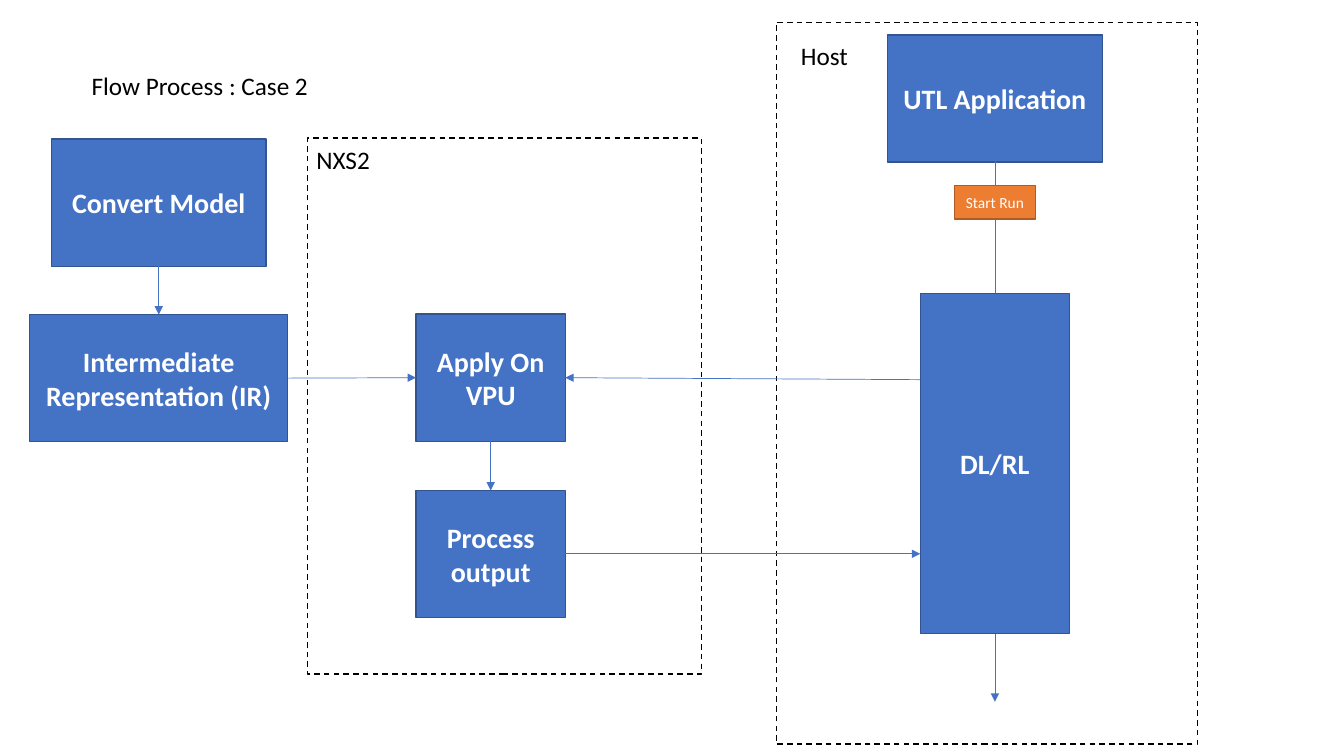
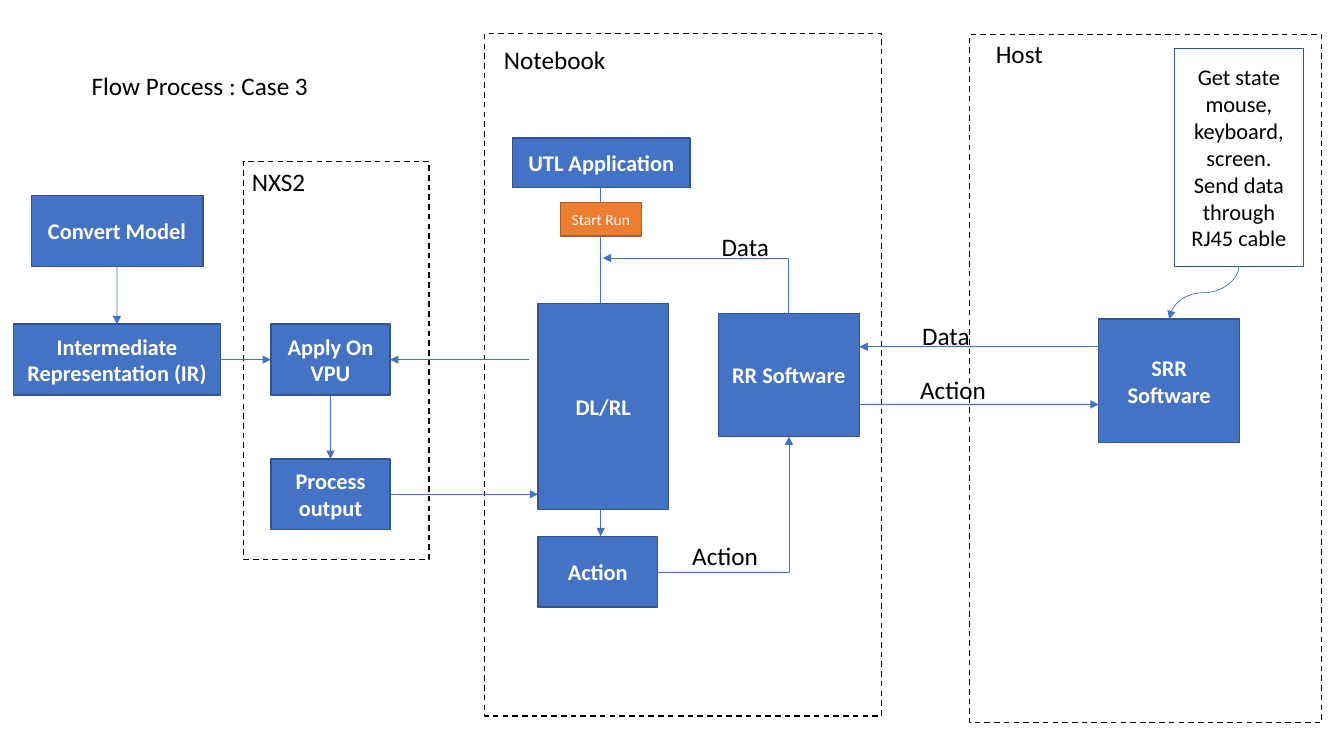
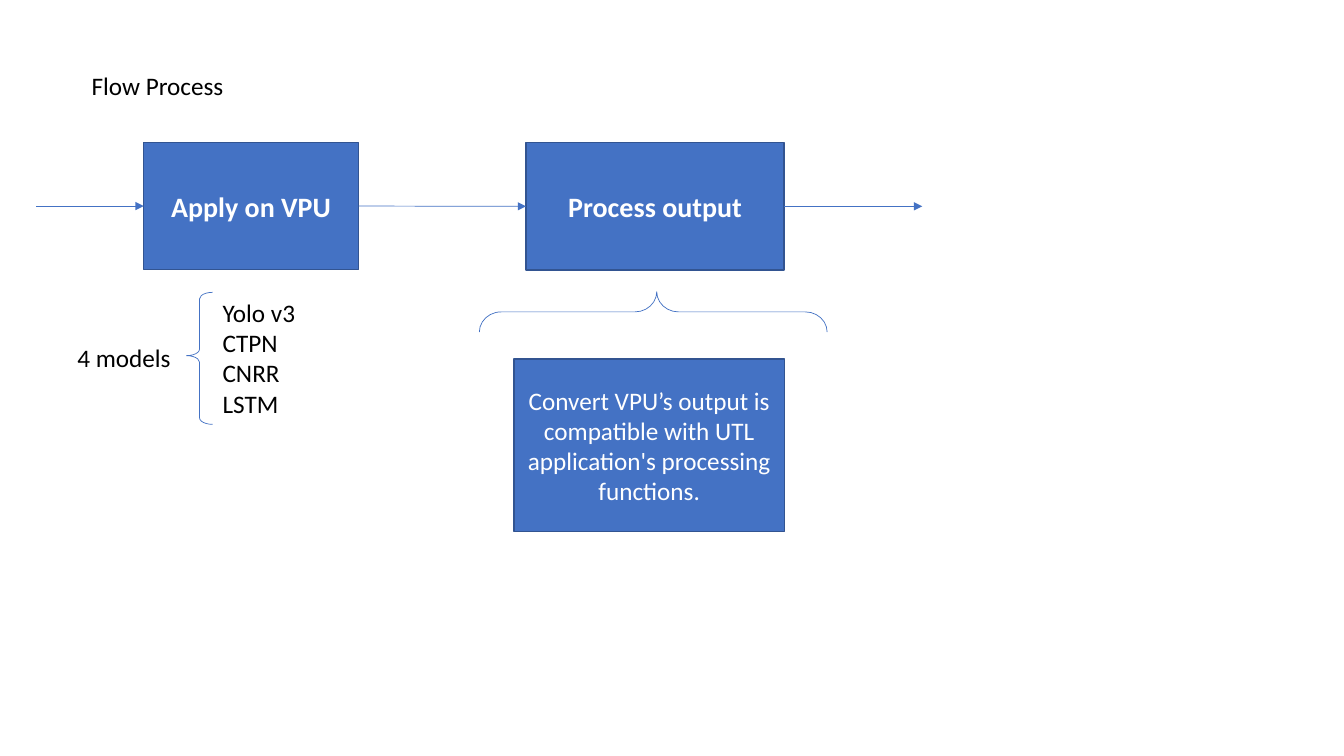
from lxml import etree
from pptx import Presentation
from pptx import util as u
from pptx.dml.color import RGBColor
from pptx.enum import dml, shapes, text
from pptx.oxml import ns

BLUE = RGBColor(0x44, 0x72, 0xC4)
NAVY = RGBColor(0x32, 0x54, 0x91)
ORANGE = RGBColor(0xED, 0x7D, 0x31)
RUST = RGBColor(0xAF, 0x5C, 0x24)
WHITE = RGBColor(0xFF, 0xFF, 0xFF)
BLACK = RGBColor(0, 0, 0)
FONT = "Calibri"
TOP, LEFT, BOTTOM, RIGHT = range(4)  # connection sites of a box


class Flow:
    """Shared style and the slide being drawn; lengths are in points."""

    def __init__(self, deck):
        self.deck = deck
        self.slide = None
        self.size = 20

    def page(self, title, size):
        self.slide = self.deck.slides.add_slide(self.deck.slide_layouts[6])
        self.size = size
        self.label(58.4, 46.6, 180, title)

    def set_words(self, shape, words, size, color, bold=False, align=None):
        frame = shape.text_frame
        frame.word_wrap = True
        frame.text = words
        for para in frame.paragraphs:
            para.alignment = align
            for span in para.runs:
                span.font.name = FONT
                span.font.size = u.Pt(size)
                span.font.bold = bold
                span.font.color.rgb = color

    def shape(self, kind, area, fill, line, width=1):
        shape = self.slide.shapes.add_shape(kind, *map(u.Pt, area))
        shape.shadow.inherit = False
        if fill is None:
            shape.fill.background()
        else:
            shape.fill.solid()
            shape.fill.fore_color.rgb = fill
        shape.line.color.rgb = line
        shape.line.width = u.Pt(width)
        return shape

    def zone(self, *area):
        zone = self.shape(shapes.MSO_SHAPE.RECTANGLE, area, WHITE, BLACK)
        zone.line.dash_style = dml.MSO_LINE.DASH

    def step(self, words, *area):
        step = self.shape(shapes.MSO_SHAPE.PENTAGON, area, BLUE, NAVY)
        step.adjustments[0] = 0
        self.set_words(step, words, self.size, WHITE, True, text.PP_ALIGN.CENTER)
        return step

    def note(self, words, area, size, fill=BLUE, line=NAVY, color=WHITE):
        note = self.shape(shapes.MSO_SHAPE.RECTANGLE, area, fill, line)
        self.set_words(note, words, size, color, align=text.PP_ALIGN.CENTER)

    def start_run(self, left, top):
        self.note("Start Run", (left, top, 57.8, 23.8), 11, ORANGE, RUST)

    def label(self, left, top, width, words):
        height = 7.2 + 21.7 * len(words.split("\n"))
        area = map(u.Pt, (left, top, width, height))
        box = self.slide.shapes.add_textbox(*area)
        self.set_words(box, words, 18, BLACK)
        box.text_frame.auto_size = text.MSO_AUTO_SIZE.SHAPE_TO_FIT_TEXT

    def brace(self, area, adjustments, rotation=0):
        brace = self.shape(shapes.MSO_SHAPE.LEFT_BRACE, area, None, BLUE, 0.5)
        brace.rotation = rotation
        for index, value in enumerate(adjustments):
            brace.adjustments[index] = value

    def arrow(self, x1, y1, x2, y2, kind=shapes.MSO_CONNECTOR.STRAIGHT, end="tailEnd"):
        ends = map(u.Pt, (x1, y1, x2, y2))
        arrow = self.slide.shapes.add_connector(kind, *ends)
        arrow.line.color.rgb = BLUE
        arrow.line.width = u.Pt(0.5)
        line = arrow._element.spPr.find(ns.qn("a:ln"))
        etree.SubElement(line, ns.qn("a:" + end), type="triangle")
        etree.SubElement(arrow._element.spPr, ns.qn("a:effectLst"))
        return arrow

    def link(self, source, site, target, target_site):
        arrow = self.arrow(0, 0, 1, 1)
        arrow.begin_connect(source, site)
        arrow.end_connect(target, target_site)

    def corner(self, *ends, end="tailEnd"):
        """Runs across first, then up or down."""
        arrow = self.arrow(*ends, shapes.MSO_CONNECTOR.ELBOW, end)
        arrow._element.spPr.find(ns.qn("a:prstGeom")).set("prst", "bentConnector2")

    def curve_down(self, x1, y1, x2, y2):
        """S-curve that leaves downwards: a quarter turn of the sideways one."""
        middle_x, middle_y = (x1 + x2) / 2, (y1 + y2) / 2
        half_w, half_h = (y2 - y1) / 2, (x1 - x2) / 2
        arrow = self.arrow(middle_x - half_w, middle_y - half_h,
                           middle_x + half_w, middle_y + half_h,
                           shapes.MSO_CONNECTOR.CURVE)
        arrow._element.spPr.find(ns.qn("a:xfrm")).set("rot", "5400000")


deck = Presentation()
deck.slide_width, deck.slide_height = u.Pt(960), u.Pt(540)
flow = Flow(deck)

# Case 2: the host runs the model
flow.page("Flow Process : Case 2", 20)
flow.zone(554.5, 16, 301, 515.5)
flow.zone(219.6, 98.6, 281.5, 383)
convert = flow.step("Convert Model", 36.7, 99.4, 153.4, 90.8)
model = flow.step("Intermediate Representation (IR)", 21.3, 224.7, 184.2, 90.8)
apply_vpu = flow.step("Apply On VPU", 297.2, 224.4, 106.6, 90.8)
process = flow.step("Process output", 297.2, 350.4, 106.6, 90.8)
flow.step("UTL Application", 634, 25, 153.4, 90.8)
flow.arrow(710.7, 106, 710.7, 501.3)
flow.start_run(681.8, 132.6)
flow.step("DL/RL", 657.3, 209.8, 106.6, 242.6)
flow.link(convert, BOTTOM, model, TOP)
flow.link(model, RIGHT, apply_vpu, LEFT)
flow.link(apply_vpu, BOTTOM, process, TOP)
flow.arrow(657.3, 271.2, 403.8, 269.8)
flow.arrow(403.8, 395.6, 657.3, 395.6)
flow.label(218.9, 99.4, 58.3, "NXS2")
flow.label(565, 25.4, 58.3, "Host")

# Case 3: a notebook sits between the stick and the host
flow.page("Flow Process : Case 3", 16)
flow.zone(692.6, 24.7, 251.4, 491.6)
flow.zone(346.2, 24, 283.6, 487.4)
flow.zone(174, 115.2, 132.6, 284.4)
convert = flow.step("Convert Model", 22.3, 139.7, 122.6, 50.5)
model = flow.step("Intermediate Representation (IR)", 9.8, 231.6, 147.5, 50.5)
apply_vpu = flow.step("Apply On VPU", 193.5, 231.6, 85.2, 50.5)
process = flow.step("Process output", 193.5, 327.8, 85.2, 50.5)
flow.step("UTL Application", 366.2, 98.7, 126.6, 35.4)
flow.arrow(429.1, 134.1, 429.1, 383)
flow.start_run(400.3, 144.7)
flow.step("DL/RL", 384.4, 216.9, 93, 147)
flow.step("Action", 384.4, 383.2, 85.2, 50.5)
flow.step("SRR Software", 784.8, 228, 100.8, 88)
flow.step("RR Software", 513.1, 223.8, 100.8, 88)
flow.note("Get state mouse, keyboard, screen.\nSend data through RJ45 cable",
          (838.8, 34.7, 92.4, 155.5), 16, WHITE, NAVY, BLACK)
flow.link(convert, BOTTOM, model, TOP)
flow.link(model, RIGHT, apply_vpu, LEFT)
flow.link(apply_vpu, BOTTOM, process, TOP)
flow.arrow(378, 256.9, 278.7, 256.9)
flow.arrow(278.7, 353, 384.4, 353)
flow.arrow(784.8, 247.7, 613.9, 247.7)
flow.arrow(613.9, 288.9, 784.8, 288.9)
flow.corner(430.6, 184.3, 563.5, 223.8, end="headEnd")
flow.corner(469.6, 408.5, 563.5, 311.8)
flow.curve_down(885, 190.2, 835.2, 228)
flow.label(172.8, 115.2, 58.3, "NXS2")
flow.label(352.8, 28.1, 87.1, "Notebook")
flow.label(704.2, 23.8, 58.3, "Host")
for left, top, words in ((651.6, 225.4, "Data"), (650.2, 263.5, "Action"),
                         (508.3, 162, "Data"), (487.4, 382.3, "Action")):
    flow.label(left, top, 64, words)

# Overview of the steps on the VPU
flow.page("Flow Process", 20)
apply_vpu = flow.step("Apply on VPU", 102.7, 101.8, 153.4, 90.8)
process = flow.step("Process output", 375.8, 102, 184.3, 90.8)
flow.arrow(26, 147.2, 102.7, 147.2)
flow.link(apply_vpu, RIGHT, process, LEFT)
flow.arrow(560.1, 147.4, 658.8, 147.4)
flow.brace((452.2, 98.6, 28.8, 248.4), (0.54, 0.49), rotation=90)
flow.brace((133.2, 208.8, 18.7, 94.3), (0.25, 0.48))
flow.label(151.9, 208.8, 70, "Yolo v3\nCTPN\nCNRR\nLSTM")
flow.label(48.2, 241.2, 81.4, "4 models")
flow.note("Convert VPU’s output is compatible with UTL application's "
          "processing functions.", (367.2, 256.5, 193, 123.1), 18)

deck.save("out.pptx")
